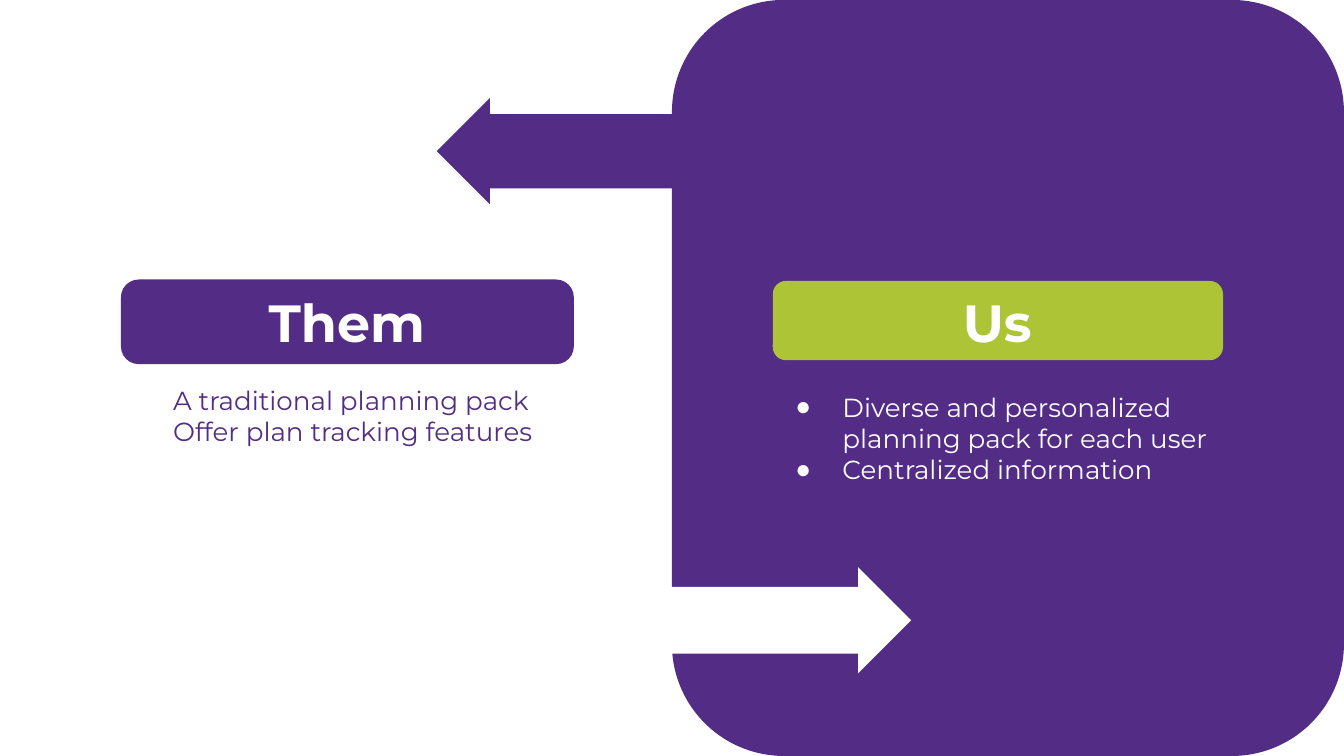
from lxml.etree import SubElement
from pptx import Presentation
from pptx.dml.color import RGBColor
from pptx.enum.shapes import MSO_SHAPE
from pptx.enum.text import MSO_ANCHOR, PP_ALIGN
from pptx.oxml.ns import qn
from pptx.util import Inches, Pt

FONT = "Montserrat"
PURPLE, GREEN, WHITE = "532D85", "ADC437", "FFFFFF"
WIDE = 10
HIGH = WIDE * 9 / 16

# Shapes from back to front: preset, box, colour, adjustments
SHAPES = [
    (MSO_SHAPE.LEFT_ARROW, (3.25, 0.73, 2.15, 0.79), PURPLE, (0.7, 0.5)),
    (MSO_SHAPE.ROUNDED_RECTANGLE, (0.9, 2.08, 3.37, 0.63), PURPLE, (0.21,)),
    (MSO_SHAPE.ROUNDED_RECTANGLE, (WIDE / 2, 0, WIDE / 2, HIGH), PURPLE, ()),
    (MSO_SHAPE.ROUNDED_RECTANGLE, (5.75, 2.09, 3.35, 0.59), GREEN, ()),
    (MSO_SHAPE.RIGHT_ARROW, (4.98, 4.22, 1.8, 0.79), WHITE, (0.63, 0.5)),
]

# Columns: heading, its box, points, their box, colour, bulleted
COLUMNS = [
    ("Them", (1.35, 2.1, 2.46, 0.58),
     ["A traditional planning pack", "Offer plan tracking features"],
     (0.69, 2.76, 3.5, 0.79), PURPLE, False),
    ("Us", (6.19, 2.1, 2.46, 0.58),
     ["Diverse and personalized planning pack for each user",
      "Centralized information"],
     (5.67, 2.81, 3.5, 0.79), WHITE, True),
]


def color(code):
    return RGBColor.from_string(code)


def add_block(slide, preset, box, fill, adjust):
    shape = slide.shapes.add_shape(preset, *map(Inches, box))
    shape.shadow.inherit = False
    shape.fill.solid()
    shape.fill.fore_color.rgb = color(fill)
    shape.line.fill.background()
    for i, value in enumerate(adjust):
        shape.adjustments[i] = value


def add_frame(slide, box, anchor):
    frame = slide.shapes.add_textbox(*map(Inches, box)).text_frame
    frame.word_wrap = True
    frame.vertical_anchor = anchor
    frame.margin_left = frame.margin_right = Inches(0.1)
    frame.margin_top = frame.margin_bottom = Inches(0.1)
    return frame


def add_run(para, text, size, code, bold=False):
    run = para.add_run()
    run.text = text
    run.font.name = FONT
    run.font.size = Pt(size)
    run.font.bold = bold
    run.font.color.rgb = color(code)


def indent(para, code, bullet):
    props = para._p.get_or_add_pPr()
    props.set("marL", str(Inches(0.5)))
    props.set("indent", str(Inches(-0.35) if bullet else 0))
    if bullet:
        tint = SubElement(props, qn("a:buClr"))
        SubElement(tint, qn("a:srgbClr"), val=code)
        SubElement(props, qn("a:buFont"), typeface="Arial")
        SubElement(props, qn("a:buChar"), char="●")
    else:
        SubElement(props, qn("a:buNone"))


deck = Presentation()
deck.slide_width, deck.slide_height = Inches(WIDE), Inches(HIGH)
slide = deck.slides.add_slide(deck.slide_layouts[6])

# Panel, heading bars and arrows
for block in SHAPES:
    add_block(slide, *block)

# Headings and points
for title, head, points, body, code, bullet in COLUMNS:
    para = add_frame(slide, head, MSO_ANCHOR.MIDDLE).paragraphs[0]
    para.alignment = PP_ALIGN.CENTER
    add_run(para, title, 28, WHITE, True)

    frame = add_frame(slide, body, MSO_ANCHOR.TOP)
    for i, point in enumerate(points):
        para = frame.add_paragraph() if i else frame.paragraphs[0]
        indent(para, code, bullet)
        add_run(para, point, 14, code)

deck.save("out.pptx")
